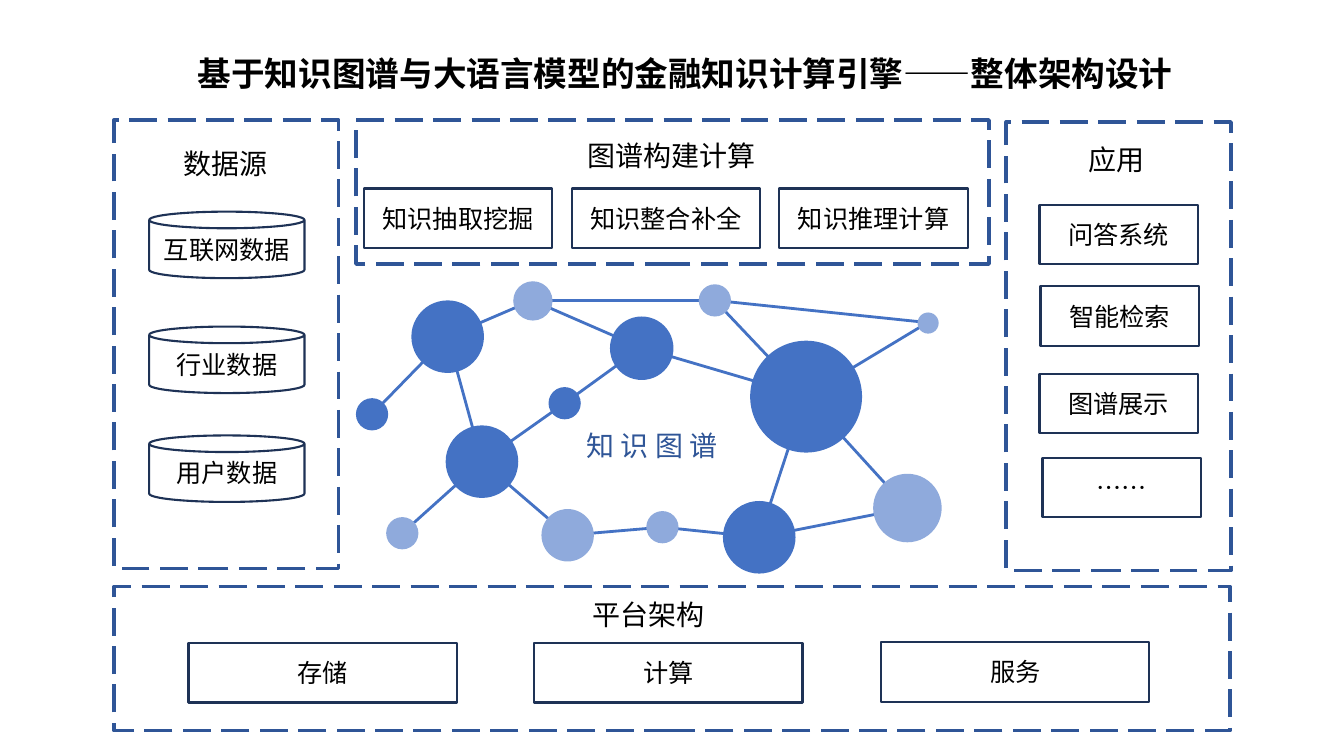
from lxml import etree
from pptx import Presentation
from pptx import util as u
from pptx.dml.color import RGBColor
from pptx.enum import dml, shapes, text
from pptx.oxml import ns

PX = 9144  # 100 px to the inch
FONT = "Noto Sans CJK SC"
BLACK = RGBColor(0x00, 0x00, 0x00)
WHITE = RGBColor(0xFF, 0xFF, 0xFF)
PANEL_BLUE = RGBColor(0x2F, 0x55, 0x97)
NAVY = RGBColor(0x1E, 0x32, 0x56)
BLUE = RGBColor(0x44, 0x72, 0xC4)
LIGHT_BLUE = RGBColor(0x8F, 0xAA, 0xDC)
RECTANGLE = shapes.MSO_SHAPE.RECTANGLE
CAN = shapes.MSO_SHAPE.CAN
OVAL = shapes.MSO_SHAPE.OVAL

# name: (centre x, centre y, diameter, colour), relative to the graph's box
NODES = {
    "far left": (16, 132, 32, BLUE),
    "upper left": (91, 55, 72, BLUE),
    "lower left": (125, 179, 72, BLUE),
    "bottom left": (46, 250, 32, LIGHT_BLUE),
    "top": (175, 19, 39, LIGHT_BLUE),
    "middle": (207, 121, 32, BLUE),
    "upper middle": (283, 66, 63, BLUE),
    "lower middle": (210, 252, 52, LIGHT_BLUE),
    "bottom middle": (304, 244, 32, LIGHT_BLUE),
    "top right": (356, 19, 32, LIGHT_BLUE),
    "hub": (446, 114, 111, BLUE),
    "bottom right": (400, 254, 72, BLUE),
    "far right": (567, 41, 21, LIGHT_BLUE),
    "lower right": (547, 225, 68, LIGHT_BLUE),
}
EDGES = [
    ("far right", "top right"), ("lower right", "bottom right"),
    ("lower right", "hub"), ("top", "upper left"),
    ("top", "upper middle"), ("top", "top right"),
    ("upper left", "far left"), ("upper left", "lower left"),
    ("hub", "upper middle"), ("hub", "top right"), ("hub", "far right"),
    ("lower left", "lower middle"), ("lower left", "bottom left"),
    ("bottom middle", "bottom right"), ("bottom middle", "lower middle"),
    ("middle", "lower left"), ("middle", "upper middle"),
    ("hub", "bottom right"),
]


def px(*lengths):
    return [u.Emu(length * PX) for length in lengths]


def write(shape, words, size, color=BLACK, bold=False, align=text.PP_ALIGN.CENTER):
    paragraph = shape.text_frame.paragraphs[0]
    paragraph.text = words
    paragraph.alignment = align
    font = paragraph.font
    font.name, font.size, font.bold = FONT, u.Pt(size), bold
    font.color.rgb = color
    east_asian = etree.SubElement(font._element, ns.qn("a:ea"))
    east_asian.set("typeface", FONT)


def add_label(canvas, box, words, size=20, **style):
    label = canvas.add_textbox(*px(*box))
    label.text_frame.word_wrap = True
    write(label, words, size, **style)


def add_outlined(canvas, preset, box, color, width, fill=WHITE):
    shape = canvas.add_shape(preset, *px(*box))
    shape.shadow.inherit = False
    shape.fill.solid()
    shape.fill.fore_color.rgb = fill
    shape.line.color.rgb = color
    shape.line.width = u.Pt(width)
    return shape


def add_panel(canvas, box, heading, heading_box):
    """Dashed frame; heading_box is relative to the frame."""
    frame = add_outlined(canvas, RECTANGLE, box, PANEL_BLUE, 2.5)
    frame.line.dash_style = dml.MSO_LINE.LONG_DASH
    dx, dy, width, height = heading_box
    add_label(canvas, (box[0] + dx, box[1] + dy, width, height), heading)


def add_item(canvas, preset, box, words):
    item = add_outlined(canvas, preset, box, NAVY, 1.5)
    item.text_frame.vertical_anchor = text.MSO_ANCHOR.MIDDLE
    item.text_frame.word_wrap = True
    write(item, words, 18)


def add_data_sources(canvas, box):
    add_panel(canvas, box, "数据源", (59, 21, 104, 44))
    for words, dy in [("互联网数据", 91), ("行业数据", 205), ("用户数据", 313)]:
        add_item(canvas, CAN, (box[0] + 35, box[1] + dy, 154, 66), words)


def add_graph_building(canvas, box):
    add_panel(canvas, box, "图谱构建计算", (219, 13, 188, 44))
    for column, words in enumerate(["知识抽取挖掘", "知识整合补全", "知识推理计算"]):
        add_item(canvas, RECTANGLE, (box[0] + 8 + 206 * column, box[1] + 68, 187, 59), words)


def add_applications(canvas, box):
    add_panel(canvas, box, "应用", (71, 15, 76, 44))
    items = [("问答系统", 33, 82), ("智能检索", 34, 163), ("图谱展示", 33, 250), ("……", 36, 333)]
    for words, dx, dy in items:
        add_item(canvas, RECTANGLE, (box[0] + dx, box[1] + dy, 157, 59), words)


def add_platform(canvas, box):
    add_panel(canvas, box, "平台架构", (464, 6, 132, 44))
    for words, dx, dy in [("存储", 74, 56), ("计算", 417, 56), ("服务", 761, 55)]:
        add_item(canvas, RECTANGLE, (box[0] + dx, box[1] + dy, 266, 59), words)


def add_knowledge_graph(canvas, left, top):
    group = canvas.add_group_shape().shapes
    for start, end in EDGES:
        points = [(left + NODES[name][0], top + NODES[name][1]) for name in (start, end)]
        edge = group.add_connector(shapes.MSO_CONNECTOR.STRAIGHT, *px(*points[0], *points[1]))
        edge.line.color.rgb = BLUE
        edge.line.width = u.Pt(2)
        etree.SubElement(edge._element.spPr, ns.qn("a:effectLst"))
    for x, y, size, color in NODES.values():
        corner = left + x - size // 2, top + y - size // 2
        node = add_outlined(group, OVAL, (*corner, size, size), color, 1, fill=color)
        node.line.fill.background()
    add_label(group, (left + 219, top + 141, 182, 44), "知 识 图 谱",
              color=PANEL_BLUE, align=text.PP_ALIGN.LEFT)


def main():
    presentation = Presentation()
    presentation.slide_width, presentation.slide_height = px(1333, 750)
    slide = presentation.slides.add_slide(presentation.slide_layouts[6])
    canvas = slide.shapes
    add_data_sources(canvas, (113, 119, 223, 445))
    add_platform(canvas, (113, 582, 1107, 143))
    add_graph_building(canvas, (353, 119, 628, 143))
    add_applications(canvas, (998, 121, 223, 445))
    add_knowledge_graph(canvas, 353, 279)
    add_label(canvas, (176, 48, 1007, 54),
              "基于知识图谱与大语言模型的金融知识计算引擎——整体架构设计", size=24, bold=True)
    presentation.save("out.pptx")


if __name__ == "__main__":
    main()
